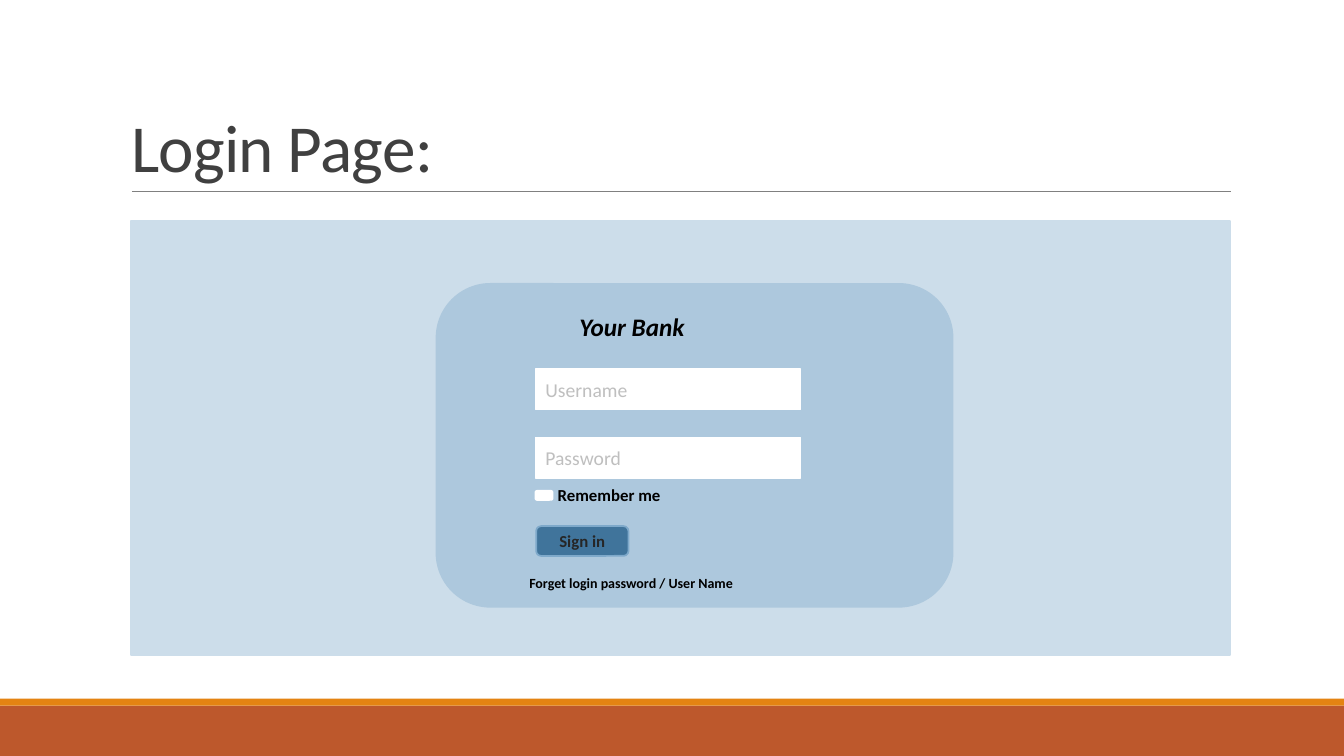
from lxml import etree
from pptx import Presentation
from pptx.dml.color import RGBColor
from pptx.enum import shapes, text
from pptx.oxml import ns
from pptx.util import Pt

RECT = shapes.MSO_SHAPE.RECTANGLE
ROUND = shapes.MSO_SHAPE.ROUNDED_RECTANGLE
LEFT = text.PP_ALIGN.LEFT
CENTER = text.PP_ALIGN.CENTER
MIDDLE = text.MSO_ANCHOR.MIDDLE


def color(value):
    return RGBColor.from_string(value)


class SlideBuilder:
    font_name = "Calibri"
    border_width = 1.25

    def __init__(self, page):
        self.page = page

    def set_text(self, box, wording, size, ink, bold=False, italic=False, align=LEFT):
        frame = box.text_frame
        frame.word_wrap = True
        para = frame.paragraphs[0]
        para.text = wording
        para.alignment = align
        font = para.font
        font.name, font.size = self.font_name, Pt(size)
        font.bold, font.italic = bold, italic
        font.color.rgb = color(ink)
        return para

    def title(self, wording, left, top, width, height):
        box = self.page.shapes.title
        box.left, box.top = Pt(left), Pt(top)
        box.width, box.height = Pt(width), Pt(height)
        para = self.set_text(box, wording, 48, "404040")
        para.line_spacing = 0.85
        para.runs[0]._r.get_or_add_rPr().set("spc", "-50")
        box.text_frame.auto_size = text.MSO_AUTO_SIZE.NONE
        box.text_frame.vertical_anchor = text.MSO_ANCHOR.BOTTOM

    def panel(self, kind, left, top, width, height, fill, border=None):
        box = self.page.shapes.add_shape(kind, Pt(left), Pt(top), Pt(width), Pt(height))
        box.shadow.inherit = False
        box.fill.solid()
        box.fill.fore_color.rgb = color(fill)
        if border:
            box.line.color.rgb = color(border)
            box.line.width = Pt(self.border_width)
        else:
            box.line.fill.background()
        return box

    def control(self, kind, left, top, width, height, fill, border, wording, size, ink, **style):
        box = self.panel(kind, left, top, width, height, fill, border)
        self.set_text(box, wording, size, ink, **style)
        box.text_frame.vertical_anchor = MIDDLE

    def label(self, wording, left, top, width, height, size, italic=False):
        box = self.page.shapes.add_textbox(Pt(left), Pt(top), Pt(width), Pt(height))
        self.set_text(box, wording, size, "000000", bold=True, italic=italic)
        box.text_frame.auto_size = text.MSO_AUTO_SIZE.SHAPE_TO_FIT_TEXT

    def rule(self, left, top, right, ink, width):
        line = self.page.shapes.add_connector(
            shapes.MSO_CONNECTOR.STRAIGHT, Pt(left), Pt(top), Pt(right), Pt(top))
        line.line.color.rgb = color(ink)
        line.line.width = Pt(width)
        etree.SubElement(line._element.spPr, ns.qn("a:effectLst"))


deck = Presentation()
deck.slide_width, deck.slide_height = Pt(960), Pt(540)
slide = SlideBuilder(deck.slides.add_slide(deck.slide_layouts[5]))

slide.panel(RECT, 0, 504, 960, 36, "BD582C")
slide.panel(RECT, 0, 499, 960, 5, "E48312")
slide.rule(94.3, 136.8, 879, "808080", 0.5)
slide.title("Login Page:", 86.4, 22.5, 792, 114.2)

slide.panel(RECT, 93.6, 157.7, 784.8, 310.3, "CCDDEA", "CCDDEA")
slide.panel(ROUND, 311.8, 202.8, 368.6, 230.6, "ADC8DD", "ADC8DD")

field_left = 382.5
for row, prompt in enumerate(("Username", "Password")):
    slide.control(RECT, field_left, 263.6 + row * 48.9, 189.4, 29, "FFFFFF", "FFFFFF",
                  prompt, 14, "BFBFBF")
slide.panel(ROUND, field_left, 350.6, 12.2, 6.5, "FFFFFF", "FFFFFF")
slide.control(ROUND, field_left + 0.5, 375.8, 66, 21.3, "40749B", "7EA9CA",
              "Sign in", 12, "262626", bold=True, align=CENTER)

slide.label("Your Bank", 406.8, 218.9, 121.7, 29, 18, italic=True)
slide.label("Remember me", 391.3, 342.9, 91.4, 21.8, 12)
slide.label("Forget login password / User Name", 371, 406.8, 189.4, 19.4, 10)

deck.save("out.pptx")
